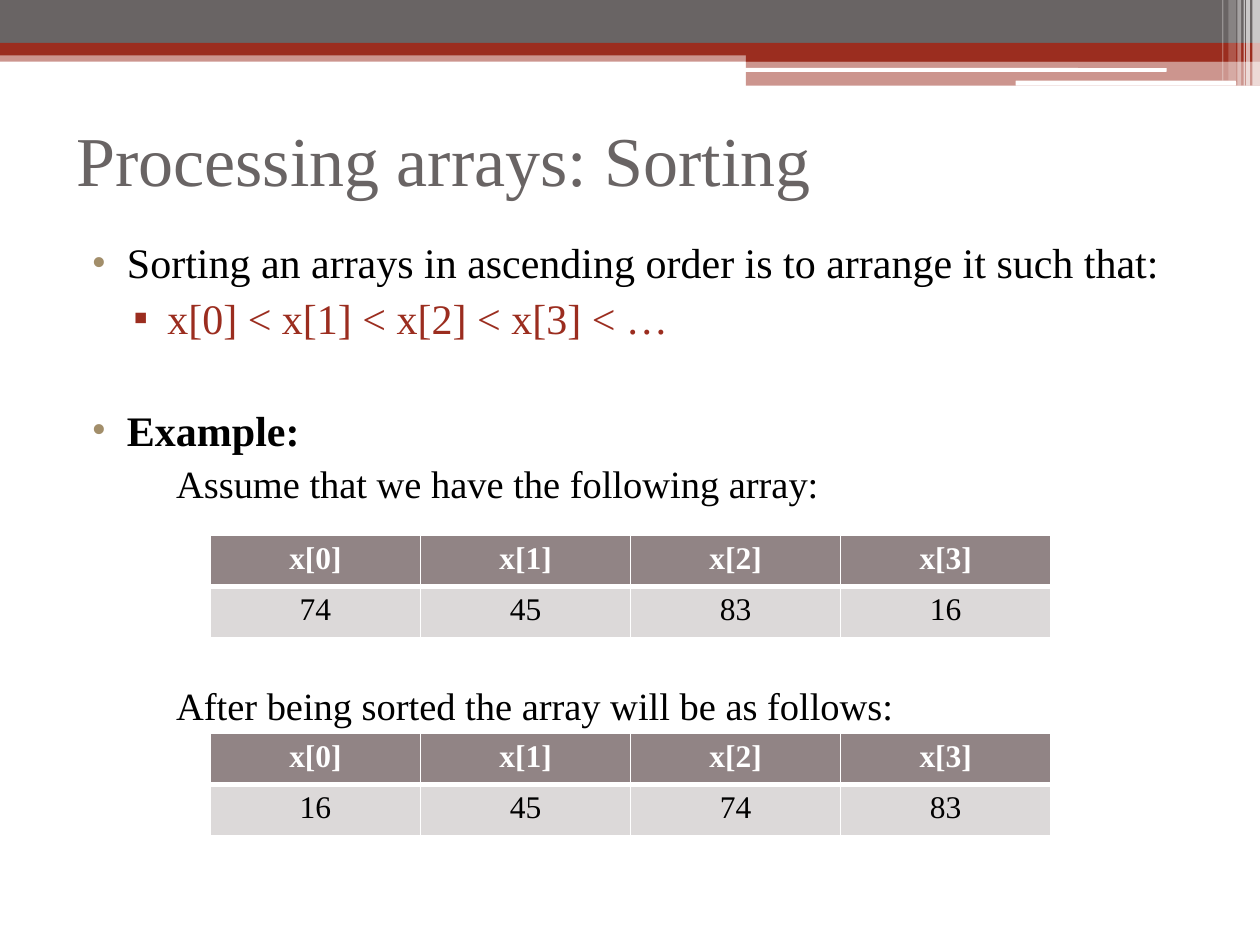
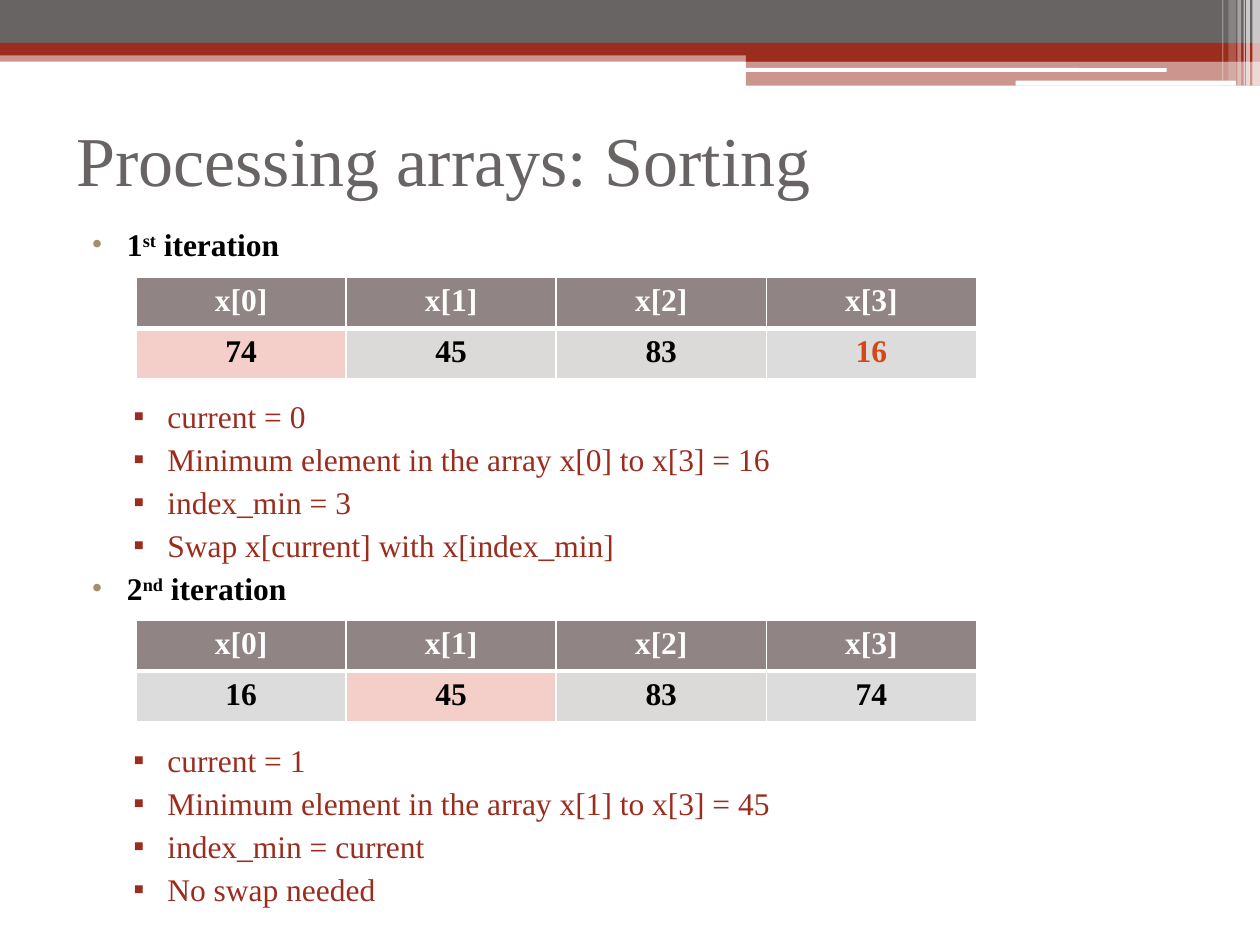
"""Builds two slides that explain sorting an array."""
from lxml import etree
from pptx import Presentation
from pptx.dml.color import RGBColor
from pptx.enum.shapes import MSO_SHAPE
from pptx.enum.text import MSO_ANCHOR, PP_ALIGN
from pptx.oxml.ns import qn
from pptx.util import Inches, Pt

RECTANGLE = MSO_SHAPE.RECTANGLE
ROUNDED = MSO_SHAPE.ROUNDED_RECTANGLE
MIDDLE = MSO_ANCHOR.MIDDLE
CENTER = PP_ALIGN.CENTER

FONT = "Times New Roman"
TITLE = "Processing arrays: Sorting"
GRAY, RED, TAN, ORANGE = "696464", "9B2D1F", "A28E6A", "D34817"
WHITE, BLACK = "FFFFFF", "000000"
HEADER, CELL, PALE, PINK = "918485", "DCD9D9", "DCDCDC", "F4CEC9"
TABLE_WIDTH, TABLE_HEIGHT = 6.67, 0.81

BANDS = [
    (RECTANGLE, 0, 0.4, 10, 0.09, RED, 50),
    (RECTANGLE, 0, 0, 10, 0.34, GRAY, 100),
    (RECTANGLE, 0, 0.34, 10, 0.1, RED, 100),
    (RECTANGLE, 5.92, 0.39, 4.08, 0.1, RED, 100),
    (RECTANGLE, 5.92, 0.48, 4.08, 0.2, RED, 50),
    (ROUNDED, 5.91, 0.54, 3.35, 0.03, WHITE, 100),
    (ROUNDED, 8.06, 0.64, 1.75, 0.04, WHITE, 100),
    (RECTANGLE, 9.94, 0, 0.06, 0.68, WHITE, 65),
    (RECTANGLE, 9.89, 0, 0.03, 0.68, WHITE, 65),
    (RECTANGLE, 9.87, 0, 0.01, 0.68, WHITE, 60),
    (RECTANGLE, 9.82, 0, 0.03, 0.68, WHITE, 40),
    (RECTANGLE, 9.75, 0, 0.06, 0.64, WHITE, 20),
    (RECTANGLE, 9.7, 0, 0.01, 0.64, WHITE, 30),
]

STYLES = {
    "heading": (0.4, -0.28, "•", TAN, BLACK),
    "point": (0.72, -0.27, "▪", RED, RED),
    "plain": (0.79, 0, None, None, BLACK),
}

SLIDES = [
    {
        "body_top": 1.83,
        "body": [
            ("heading", 24, False, 0, ["Sorting an arrays in ascending order is to arrange it such that:"]),
            ("point", 24, False, 3, ["x[0] < x[1] < x[2] < x[3] < …"]),
            ("heading", 24, True, 35, ["Example:"]),
            ("plain", 22, False, 3, ["Assume that we have the following array:"]),
            ("plain", 22, False, 100.5, ["After being sorted the array will be as follows:"]),
        ],
        "table_left": 1.67,
        "bold_values": False,
        "tables": [
            (4.25, [("74", CELL, BLACK), ("45", CELL, BLACK), ("83", CELL, BLACK), ("16", CELL, BLACK)]),
            (5.82, [("16", CELL, BLACK), ("45", CELL, BLACK), ("74", CELL, BLACK), ("83", CELL, BLACK)]),
        ],
    },
    {
        "body_top": 1.74,
        "body": [
            ("heading", 18, True, 0, ["1", "st", " iteration"]),
            ("point", 18, False, 76.5, ["current = 0"]),
            ("point", 18, False, 3, ["Minimum element in the array x[0] to x[3] = 16"]),
            ("point", 18, False, 3, ["index_min = 3"]),
            ("point", 18, False, 3, ["Swap x[current] with x[index_min]"]),
            ("heading", 18, True, 3, ["2", "nd", " iteration"]),
            ("point", 18, False, 76.5, ["current = 1"]),
            ("point", 18, False, 3, ["Minimum element in the array x[1] to x[3] = 45"]),
            ("point", 18, False, 3, ["index_min = current"]),
            ("point", 18, False, 3, ["No swap needed"]),
        ],
        "table_left": 1.08,
        "bold_values": True,
        "tables": [
            (2.2, [("74", PINK, BLACK), ("45", CELL, BLACK), ("83", CELL, BLACK), ("16", PALE, ORANGE)]),
            (4.92, [("16", PALE, BLACK), ("45", PINK, BLACK), ("83", CELL, BLACK), ("74", PALE, BLACK)]),
        ],
    },
]


def color(value):
    return RGBColor.from_string(value)


def style_font(font, size, value, bold=False):
    font.name = FONT
    font.size = Pt(size)
    font.bold = bold
    font.color.rgb = color(value)


presentation = Presentation()
presentation.slide_width = Inches(10)
presentation.slide_height = Inches(7.5)

for content in SLIDES:
    slide = presentation.slides.add_slide(presentation.slide_layouts[6])

    for kind, left, top, width, height, fill, opacity in BANDS:
        band = slide.shapes.add_shape(kind, Inches(left), Inches(top), Inches(width), Inches(height))
        band.shadow.inherit = False
        band.line.fill.background()
        band.fill.solid()
        band.fill.fore_color.rgb = color(fill)
        if opacity < 100:
            fill_color = band.fill._xPr.find(qn("a:solidFill"))[0]
            etree.SubElement(fill_color, qn("a:alpha"), val=str(opacity * 1000))

    title = slide.shapes.add_textbox(Inches(0.51), Inches(0.67), Inches(9), Inches(1.17))
    title.text_frame.word_wrap = True
    title.text_frame.vertical_anchor = MIDDLE
    title.text_frame.text = TITLE
    style_font(title.text_frame.paragraphs[0].runs[0].font, 40, GRAY)

    body_top = content["body_top"]
    body = slide.shapes.add_textbox(Inches(0.51), Inches(body_top), Inches(9), Inches(7 - body_top))
    body.text_frame.word_wrap = True
    for index, (style, size, bold, space, pieces) in enumerate(content["body"]):
        paragraph = body.text_frame.paragraphs[0] if index == 0 else body.text_frame.add_paragraph()
        margin, indent, bullet, bullet_color, text_color = STYLES[style]
        paragraph.space_before = Pt(space)
        properties = paragraph._p.get_or_add_pPr()
        properties.set("marL", str(Inches(margin)))
        properties.set("indent", str(Inches(indent)))
        if bullet:
            bullet_fill = etree.SubElement(properties, qn("a:buClr"))
            etree.SubElement(bullet_fill, qn("a:srgbClr"), val=bullet_color)
            etree.SubElement(properties, qn("a:buFont"), typeface=FONT)
            etree.SubElement(properties, qn("a:buChar"), char=bullet)
        for piece in pieces:
            run = paragraph.add_run()
            run.text = piece
            style_font(run.font, size, text_color, bold)
            if piece in ("st", "nd"):
                run._r.get_or_add_rPr().set("baseline", "30000")

    for top, values in content["tables"]:
        headers = [(f"x[{column}]", HEADER, WHITE) for column in range(len(values))]
        frame = slide.shapes.add_table(
            2, len(values), Inches(content["table_left"]), Inches(top),
            Inches(TABLE_WIDTH), Inches(TABLE_HEIGHT))
        table = frame.table
        for row_index, row in enumerate([headers, values]):
            thick_side = "lnT" if row_index else "lnB"
            for column_index, (text, fill, text_color) in enumerate(row):
                cell = table.cell(row_index, column_index)
                cell.text_frame.text = text
                paragraph = cell.text_frame.paragraphs[0]
                paragraph.alignment = CENTER
                bold = row_index == 0 or content["bold_values"]
                style_font(paragraph.runs[0].font, 18, text_color, bold)
                cell_properties = cell._tc.get_or_add_tcPr()
                for side in ("lnL", "lnR", "lnT", "lnB"):
                    line_width = Pt(3 if side == thick_side else 1)
                    border = etree.SubElement(cell_properties, qn(f"a:{side}"), w=str(line_width))
                    border_fill = etree.SubElement(border, qn("a:solidFill"))
                    etree.SubElement(border_fill, qn("a:srgbClr"), val=WHITE)
                cell.fill.solid()
                cell.fill.fore_color.rgb = color(fill)

presentation.save("out.pptx")
